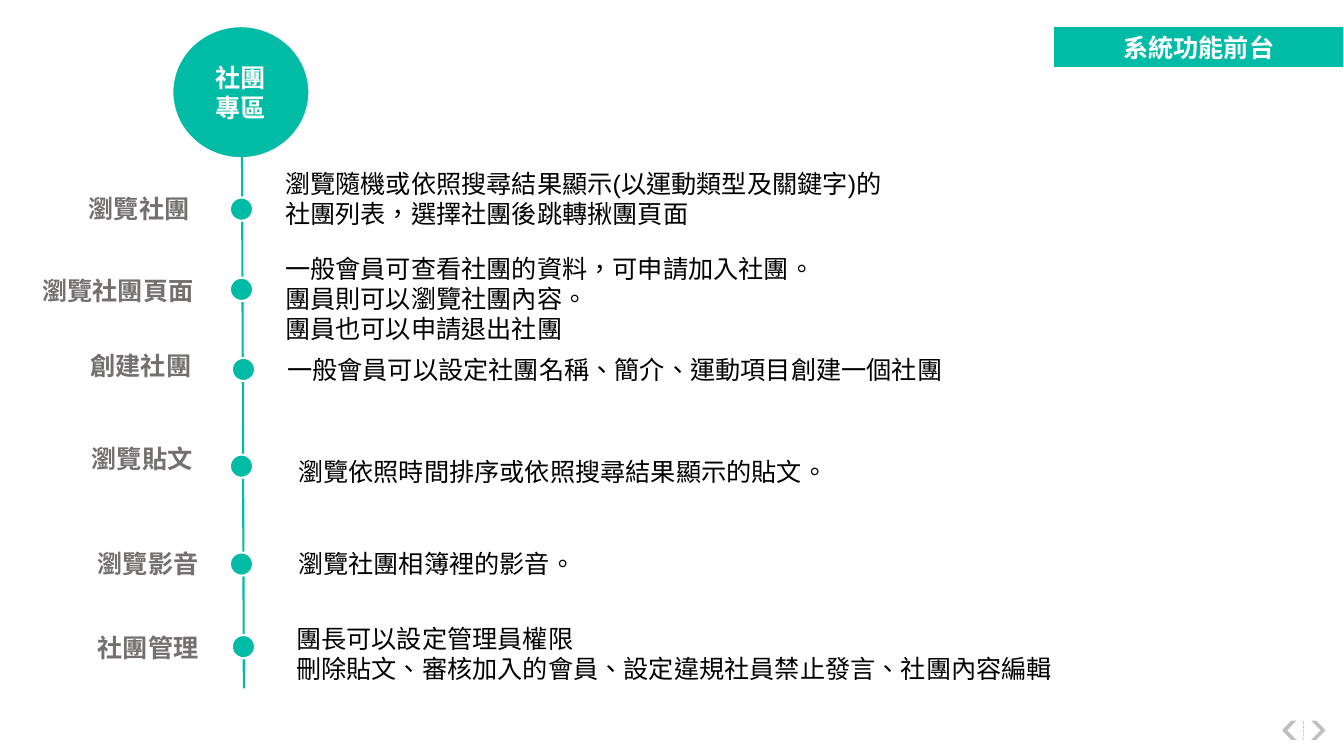
"""Builds the club area timeline slide."""
from lxml.etree import SubElement
from pptx import Presentation
from pptx.dml.color import RGBColor
from pptx.enum.dml import MSO_LINE
from pptx.enum.lang import MSO_LANGUAGE_ID as Language
from pptx.enum.shapes import MSO_CONNECTOR, MSO_SHAPE as Shape
from pptx.enum.text import MSO_ANCHOR as Anchor, PP_ALIGN as Align
from pptx.oxml.ns import qn
from pptx.util import Pt

TEAL, WHITE, GRAY, BLACK, SILVER = "00BBA5", "FFFFFF", "757070", "000000", "BFBFBF"
SLIDE_WIDTH, SLIDE_HEIGHT = 960, 540
DOT = 16.6
TITLE = "系統功能前台"
TITLE_LEFT, TITLE_TOP, TITLE_HEIGHT = 752.4, 18.7, 30.2
HUB = ["社團", "專區"]
HUB_BOX = (123.1, 18.7, 97.9, 94.3)
SPINE = (172.8, 92.2, 174.2, 491.8)
STEPS = [
    {"label": "瀏覽社團", "label_box": (50.4, 129.6, 97.9, 38.9), "dot": (164.2, 141.1),
     "details": ["瀏覽隨機或依照搜尋結果顯示(以運動類型及關鍵字)的社團列表，選擇社團後跳轉揪團頁面"],
     "details_box": (196.6, 113, 455.8, 67.7)},
    {"label": "瀏覽社團頁面", "label_box": (18.7, 187.9, 131, 38.9), "dot": (164.2, 198.4),
     "details": ["一般會員可查看社團的資料，可申請加入社團。",
                 "團員則可以瀏覽社團內容。\n團員也可以申請退出社團"],
     "details_box": (196.6, 173.5, 455.8, 67.7)},
    {"label": "創建社團", "label_box": (51.8, 246.2, 97.9, 30.2), "dot": (165.6, 255.6),
     "details": ["一般會員可以設定社團名稱、簡介、運動項目創建一個社團"],
     "details_box": (198, 246.2, 622.1, 72.7)},
    {"label": "瀏覽貼文", "label_box": (42.5, 313.2, 118.1, 28.8), "dot": (164.2, 324.7),
     "details": ["瀏覽依照時間排序或依照搜尋結果顯示的貼文。"],
     "details_box": (205.9, 319, 455.8, 67.7)},
    {"label": "瀏覽影音", "label_box": (56.9, 388.1, 97.9, 28.8), "dot": (164.2, 394.6),
     "details": ["瀏覽社團相簿裡的影音。"],
     "details_box": (205.9, 384.5, 455.8, 67.7)},
    {"label": "社團管理", "label_box": (56.9, 447.8, 97.9, 28.8), "dot": (165.6, 453.6),
     "details": ["團長可以設定管理員權限",
                 "刪除貼文、審核加入的會員、設定違規社員禁止發言、社團內容編輯"],
     "details_box": (204.5, 437.8, 622.1, 72.7)},
]
CHEVRONS = [(936.7, 0, 0.66), (915.8, 180, 0.64)]
CHEVRON_TOP, CHEVRON_WIDTH, CHEVRON_HEIGHT = 514.8, 10.1, 13.7
DIVIDER_X = 931


def color(value):
    return RGBColor.from_string(value)


def write(target, lines, ink=BLACK, bold=False, align=Align.LEFT, anchor=Anchor.MIDDLE, margin=3.6):
    frame = target.text_frame
    frame.word_wrap = True
    frame.vertical_anchor = anchor
    frame.margin_left = frame.margin_right = Pt(7.2)
    frame.margin_top = frame.margin_bottom = Pt(margin)
    for index, line in enumerate(lines):
        paragraph = frame.add_paragraph() if index else frame.paragraphs[0]
        paragraph.text = line
        paragraph.alignment = align
        paragraph.line_spacing = 1.0
        paragraph.space_before = Pt(0)
        for run in paragraph.runs:
            run.font.name, run.font.size, run.font.bold = "Arial", Pt(18), bold
            run.font.color.rgb = color(ink)
            run.font.language_id = Language.TRADITIONAL_CHINESE


def paint(target, fill, outline=None):
    target.fill.solid()
    target.fill.fore_color.rgb = color(fill)
    if outline:
        target.line.color.rgb = color(outline)
        target.line.width = Pt(1.5)
    else:
        target.line.fill.background()


def add_figure(slide, kind, box, fill, outline=None):
    figure = slide.shapes.add_shape(kind, *map(Pt, box))
    figure.shadow.inherit = False
    paint(figure, fill, outline)
    return figure


def add_rule(slide, ends, ink, width):
    rule = slide.shapes.add_connector(MSO_CONNECTOR.STRAIGHT, *map(Pt, ends))
    rule.line.color.rgb = color(ink)
    rule.line.width = Pt(width)
    SubElement(rule.line._get_or_add_ln().getparent(), qn("a:effectLst"))
    return rule


def main():
    deck = Presentation()
    deck.slide_width, deck.slide_height = Pt(SLIDE_WIDTH), Pt(SLIDE_HEIGHT)
    slide = deck.slides.add_slide(deck.slide_layouts[5])

    for left, turn, notch in CHEVRONS:
        box = (left, CHEVRON_TOP, CHEVRON_WIDTH, CHEVRON_HEIGHT)
        chevron = add_figure(slide, Shape.CHEVRON, box, SILVER)
        chevron.adjustments[0] = notch
        chevron.rotation = turn
    ends = (DIVIDER_X, CHEVRON_TOP + CHEVRON_HEIGHT, DIVIDER_X, CHEVRON_TOP)
    divider = add_rule(slide, ends, SILVER, 0.75)
    divider.line.dash_style = MSO_LINE.ROUND_DOT

    title = slide.shapes.title
    title.left, title.top = Pt(TITLE_LEFT), Pt(TITLE_TOP)
    title.width, title.height = Pt(SLIDE_WIDTH - TITLE_LEFT), Pt(TITLE_HEIGHT)
    paint(title, TEAL, WHITE)
    write(title, [TITLE], ink=WHITE, bold=True, align=Align.CENTER)

    hub = add_figure(slide, Shape.OVAL, HUB_BOX, TEAL, WHITE)
    write(hub, HUB, ink=WHITE, bold=True, align=Align.CENTER)
    add_rule(slide, SPINE, TEAL, 1.5)

    for step in STEPS:
        add_figure(slide, Shape.OVAL, (*step["dot"], DOT, DOT), TEAL, WHITE)
        label = slide.shapes.add_textbox(*map(Pt, step["label_box"]))
        write(label, [step["label"]], ink=GRAY, bold=True, align=Align.CENTER)
        details = slide.shapes.add_textbox(*map(Pt, step["details_box"]))
        write(details, step["details"], anchor=Anchor.TOP, margin=7.2)

    deck.save("out.pptx")


if __name__ == "__main__":
    main()
